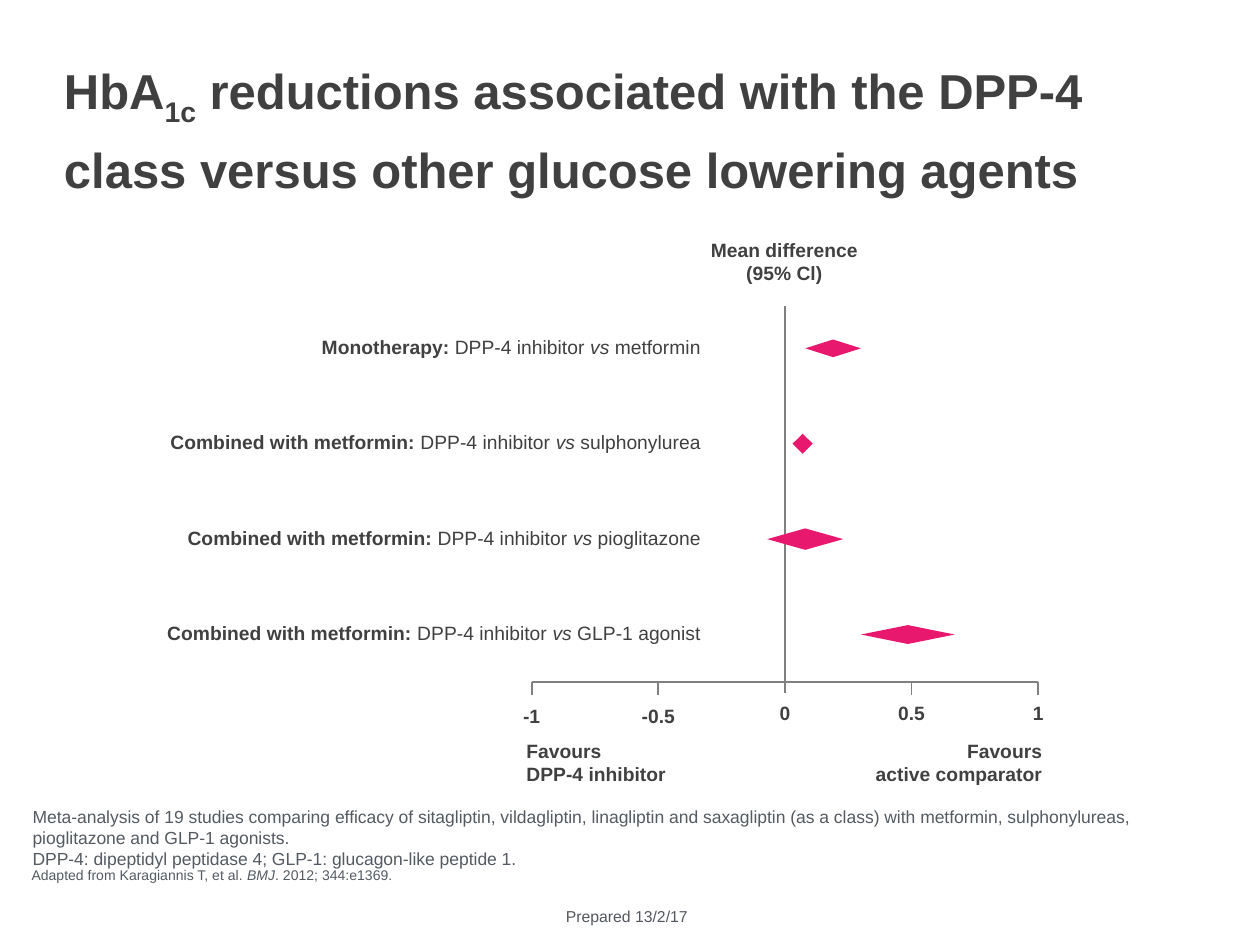
from collections import namedtuple
from dataclasses import dataclass

from lxml import etree
from pptx import Presentation
from pptx.dml.color import RGBColor
from pptx.enum.shapes import MSO_CONNECTOR, MSO_SHAPE
from pptx.enum.text import MSO_ANCHOR as Anchor, PP_ALIGN as Align
from pptx.oxml.ns import qn
from pptx.util import Inches, Pt

Box = namedtuple("Box", "left top width height")


@dataclass(frozen=True)
class Theme:
    font: str = "Arial"
    ink: str = "404040"
    note: str = "545A61"
    date: str = "53575E"
    axis: str = "808080"
    effect: str = "E9186F"
    title_size: float = 28
    label_size: float = 11
    note_size: float = 10
    date_size: float = 9
    source_size: float = 8


THEME = Theme()
BOLD, ITALIC = {"bold": True}, {"italic": True}
SUBSCRIPT = "-25000"

# Group, comparator, confidence limits and diamond height
COMPARISONS = [
    ("Monotherapy:", "metformin", 0.08, 0.30, 0.14),
    ("Combined with metformin:", "sulphonylurea", 0.03, 0.11, 0.16),
    ("Combined with metformin:", "pioglitazone", -0.07, 0.23, 0.17),
    ("Combined with metformin:", "GLP-1 agonist", 0.30, 0.67, 0.15),
]
TICKS = [-1, -0.5, 0, 0.5, 1]


def add_text(slide, box, paragraphs, size=THEME.label_size, color=THEME.ink,
             align=Align.LEFT, spacing=None, **frame_format):
    """Each paragraph is a list of (text, font format) runs."""
    frame = slide.shapes.add_textbox(*map(Inches, box)).text_frame
    for name, value in {"word_wrap": True, **frame_format}.items():
        setattr(frame, name, value)
    for index, runs in enumerate(paragraphs):
        paragraph = frame.add_paragraph() if index else frame.paragraphs[0]
        paragraph.alignment = align
        if spacing:
            paragraph.line_spacing = spacing
        for text, font_format in runs:
            run = paragraph.add_run()
            run.text = text
            run.font.color.rgb = RGBColor.from_string(color)
            base_format = {"name": THEME.font, "size": Pt(size)}
            for name, value in {**base_format, **font_format}.items():
                setattr(run.font, name, value)
    return frame


def add_line(slide, x1, y1, x2, y2):
    line = slide.shapes.add_connector(
        MSO_CONNECTOR.STRAIGHT, *map(Inches, (x1, y1, x2, y2)))
    line.line.color.rgb = RGBColor.from_string(THEME.axis)
    line.line.width = Pt(1)
    etree.SubElement(line._element.spPr, qn("a:effectLst"))


def add_diamond(slide, box):
    diamond = slide.shapes.add_shape(MSO_SHAPE.DIAMOND, *map(Inches, box))
    diamond.shadow.inherit = False
    diamond.fill.solid()
    diamond.fill.fore_color.rgb = RGBColor.from_string(THEME.effect)
    diamond.line.fill.background()


def add_title(slide, box):
    frame = add_text(slide, box, [[
        ("HbA", BOLD),
        ("1c", BOLD),
        (" reductions associated with the DPP-4 class versus other glucose "
         "lowering agents", BOLD),
    ]], THEME.title_size, spacing=1.2, vertical_anchor=Anchor.MIDDLE)
    subscript = frame.paragraphs[0].runs[1]
    subscript.font._element.set("baseline", SUBSCRIPT)


def add_axis(slide, box, x_at):
    """Draw the ticks, their values and the direction captions below the plot."""
    baseline = box.top + box.height
    add_line(slide, x_at(-1), baseline, x_at(1), baseline)
    add_line(slide, x_at(0), box.top, x_at(0), baseline + 0.09)
    for tick in TICKS:
        x = x_at(tick)
        if tick:
            add_line(slide, x, baseline, x, baseline + 0.11)
        label_top = baseline + (0.13 if tick < 0 else 0.11)
        add_text(slide, Box(x - 0.27, label_top, 0.54, 0.29),
                 [[(str(tick), BOLD)]], align=Align.CENTER)

    width = 2.16
    captions = [
        (x_at(-1) - 0.14, "DPP-4 inhibitor", Align.LEFT),
        (x_at(1) + 0.13 - width, "active comparator", Align.RIGHT),
    ]
    for left, favoured, align in captions:
        add_text(slide, Box(left, baseline + 0.41, width, 0.47),
                 [[("Favours", BOLD)], [(favoured, BOLD)]], align=align)


def add_forest_plot(slide, box):
    def x_at(value):
        return box.left + (value + 1) / 2 * box.width

    add_text(slide, Box(x_at(0) - 1.46, box.top - 0.59, 2.91, 0.47),
             [[("Mean difference", BOLD)], [("(95% Cl)", BOLD)]],
             align=Align.CENTER)
    add_axis(slide, box, x_at)

    label_width, label_height, row_pitch = 4.76, 0.29, 0.757
    for row, (group, comparator, low, high, height) in enumerate(COMPARISONS):
        top = box.top + 0.18 + row * row_pitch
        add_text(slide,
                 Box(x_at(0) - 0.57 - label_width, top, label_width, label_height),
                 [[(group, BOLD), (" DPP-4 inhibitor ", {}), ("vs", ITALIC),
                   (f" {comparator}", {})]], align=Align.RIGHT)
        middle = top + label_height / 2 + 0.01
        add_diamond(slide, Box(x_at(low), middle - height / 2,
                               x_at(high) - x_at(low), height))


def add_footer(slide, box):
    add_text(slide, Box(box.left, box.top, 9.01, 0.61), [
        [("Meta-analysis of 19 studies comparing efficacy of sitagliptin, "
          "vildagliptin, linagliptin and saxagliptin (as a class) with metformin, "
          "sulphonylureas, pioglitazone and GLP-1 agonists.", {})],
        [("DPP-4: dipeptidyl peptidase 4; GLP-1: glucagon-like peptide 1.", {})],
    ], THEME.note_size, THEME.note)
    no_margins = dict.fromkeys(
        ("margin_left", "margin_top", "margin_right", "margin_bottom"), 0)
    add_text(slide, Box(box.left + 0.09, box.top + 0.5, 9.45, 0.16), [[
        ("Adapted from Karagiannis T, et al. ", {}), ("BMJ", ITALIC),
        (". 2012; 344:e1369.", {}),
    ]], THEME.source_size, THEME.note, vertical_anchor=Anchor.BOTTOM, **no_margins)
    date_width = 1.17
    add_text(slide, Box(box.left + (box.width - date_width) / 2, box.top + 0.8,
                        date_width, 0.25),
             [[("Prepared 13/2/17", {})]], THEME.date_size, THEME.date,
             Align.CENTER, word_wrap=False)


def main():
    deck = Presentation()
    deck.slide_width, deck.slide_height = Inches(10), Inches(7.5)
    slide = deck.slides.add_slide(deck.slide_layouts[6])
    add_title(slide, Box(0.41, 0.55, 9, 0.85))
    add_forest_plot(slide, Box(4.22, 2.43, 4.02, 2.98))
    add_footer(slide, Box(0.16, 6.35, 9.63, 1.05))
    deck.save("out.pptx")


if __name__ == "__main__":
    main()
